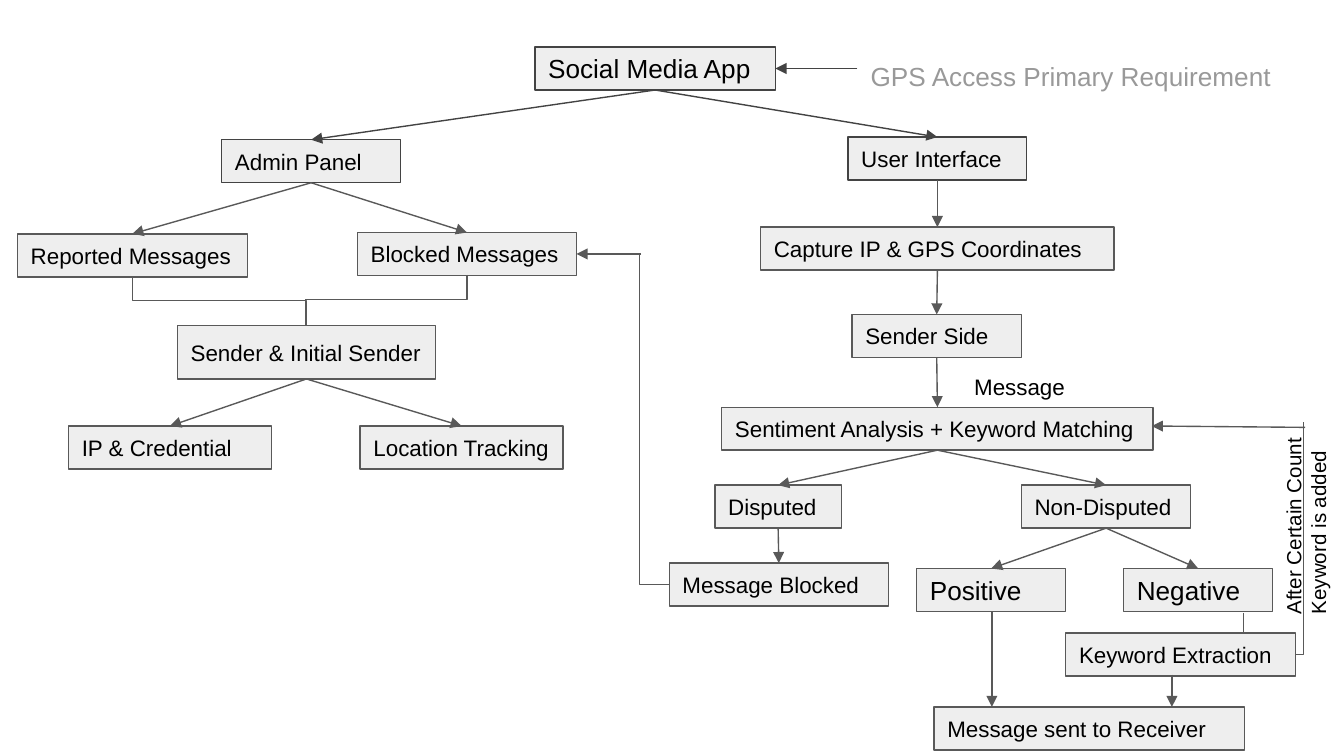
import pptx
import pptx.dml.color
import pptx.enum.shapes
import pptx.enum.text
import pptx.oxml
import pptx.oxml.ns
import pptx.util
from pptx.util import Inches

THEME = {
    "font": "Arial", "fill": "EEEEEE", "text": "000000", "muted": "999999",
    "dark": "434343", "line": "595959",
    "large": 14, "body": 12, "small": 11, "stroke": 0.75,
}
SLIDE_WIDTH = 10
SLIDE_HEIGHT = SLIDE_WIDTH * 9 / 16
BOX_HEIGHT = 0.32
INSET = 0.1

# Content: name -> left, top, width
STEPS = {
    "Social Media App": (3.98, 0.35, 1.79),
    "Admin Panel": (1.65, 1.04, 1.33),
    "User Interface": (6.31, 1.02, 1.33),
    "Reported Messages": (0.13, 1.74, 1.71),
    "Blocked Messages": (2.66, 1.73, 1.63),
    "Sender & Initial Sender": (1.32, 2.42, 1.92),
    "IP & Credential": (0.51, 3.17, 1.51),
    "Location Tracking": (2.68, 3.17, 1.51),
    "Capture IP & GPS Coordinates": (5.66, 1.69, 2.63),
    "Sender Side": (6.34, 2.34, 1.26),
    "Sentiment Analysis + Keyword Matching": (5.37, 3.03, 3.21),
    "Disputed": (5.32, 3.61, 0.94),
    "Non-Disputed": (7.6, 3.61, 1.26),
    "Message Blocked": (4.98, 4.19, 1.63),
    "Positive": (6.82, 4.23, 1.11),
    "Negative": (8.36, 4.23, 1.11),
    "Keyword Extraction": (7.93, 4.71, 1.71),
    "Message sent to Receiver": (6.95, 5.26, 2.31),
}
HEIGHTS = {"Sender & Initial Sender": 0.4}
LARGE_STEPS = {"Social Media App", "Positive", "Negative"}
DARK_STEPS = {"Social Media App", "Admin Panel", "User Interface"}

# Arrows from the bottom centre of a step to the top centre of the next
BRANCHES = {
    "Social Media App": ["Admin Panel", "User Interface"],
    "Admin Panel": ["Reported Messages", "Blocked Messages"],
    "Sender & Initial Sender": ["IP & Credential", "Location Tracking"],
    "User Interface": ["Capture IP & GPS Coordinates"],
    "Capture IP & GPS Coordinates": ["Sender Side"],
    "Sender Side": ["Sentiment Analysis + Keyword Matching"],
    "Sentiment Analysis + Keyword Matching": ["Disputed", "Non-Disputed"],
    "Disputed": ["Message Blocked"],
    "Non-Disputed": ["Positive", "Negative"],
}

# Other straight lines: start, end, colour, arrowhead
SIDE_LINES = [
    ((6.38, 0.51), (5.77, 0.51), "dark", True),
    ((4.77, 1.89), (4.29, 1.89), "line", True),
    ((9.71, 3.18), (8.57, 3.17), "line", True),
    ((7.38, 4.55), (7.38, 5.26), "line", True),
    ((8.72, 5.02), (8.72, 5.26), "line", True),
    ((9.25, 4.56), (9.25, 4.7), "line", False),
]

# Elbows before rotation: start, end, degrees, preset
ELBOWS = [
    ((4.76, 1.88), (4.98, 4.35), 180, "bentConnector2"),
    ((9.7, 3.14), (9.64, 4.87), 180, "bentConnector2"),
    ((1.81, 1.59), (1.45, 2.88), 270, "bentConnector3"),
    ((2.69, 1.63), (3.06, 2.83), 90, "bentConnector3"),
]

# Labels: lines, place, size, colour, rotation
LABELS = [
    (["GPS Access Primary Requirement"], (6.38, 0.35, 3.34, 0.32), "large", "muted", 0),
    (["Message"], (7.15, 2.68, 1.22, 0.35), "body", "text", 0),
    (["After Certain Count", "Keyword is added"], (8.82, 3.71, 1.57, 0.35), "small", "text", 270),
]


def rgb(role):
    return pptx.dml.color.RGBColor.from_string(THEME[role])


def write(shape, lines, size="body", color="text", middle=False):
    frame = shape.text_frame
    frame.word_wrap = True
    frame.margin_left = frame.margin_top = frame.margin_bottom = Inches(INSET)
    frame.margin_right = Inches(INSET / 2)
    anchors = pptx.enum.text.MSO_ANCHOR
    frame.vertical_anchor = anchors.MIDDLE if middle else anchors.TOP
    for index, line in enumerate(lines):
        paragraph = frame.add_paragraph() if index else frame.paragraphs[0]
        paragraph.alignment = pptx.enum.text.PP_ALIGN.LEFT
        run = paragraph.add_run()
        run.text = line
        run.font.name = THEME["font"]
        run.font.size = pptx.util.Pt(THEME[size])
        run.font.color.rgb = rgb(color)


def outline(shape, color):
    shape.line.color.rgb = rgb(color)
    shape.line.width = pptx.util.Pt(THEME["stroke"])


def connect(slide, start, end, color="line", arrow=False, degrees=0, preset="line"):
    connector = slide.shapes.add_connector(
        pptx.enum.shapes.MSO_CONNECTOR.STRAIGHT, *map(Inches, (*start, *end)))
    outline(connector, color)
    properties = connector._element.spPr
    properties.find(pptx.oxml.ns.qn("a:prstGeom")).set("prst", preset)
    if degrees:
        properties.find(pptx.oxml.ns.qn("a:xfrm")).set("rot", str(degrees * 60000))
    if arrow:
        head = pptx.oxml.parse_xml(
            f'<a:tailEnd {pptx.oxml.ns.nsdecls("a")} type="triangle" w="med" len="med"/>')
        connector.line._get_or_add_ln().append(head)
    properties.append(pptx.oxml.parse_xml(f'<a:effectLst {pptx.oxml.ns.nsdecls("a")}/>'))


def top_centre(name):
    left, top, width = STEPS[name]
    return left + width / 2, top


def bottom_centre(name):
    x, top = top_centre(name)
    return x, top + HEIGHTS.get(name, BOX_HEIGHT)


def tone(name):
    return "dark" if name in DARK_STEPS else "line"


def main():
    deck = pptx.Presentation()
    deck.slide_width, deck.slide_height = Inches(SLIDE_WIDTH), Inches(SLIDE_HEIGHT)
    slide = deck.slides.add_slide(deck.slide_layouts[6])

    # Step boxes
    for name, (left, top, width) in STEPS.items():
        step = slide.shapes.add_shape(
            pptx.enum.shapes.MSO_SHAPE.RECTANGLE,
            *map(Inches, (left, top, width, HEIGHTS.get(name, BOX_HEIGHT))))
        step.shadow.inherit = False
        step.fill.solid()
        step.fill.fore_color.rgb = rgb("fill")
        outline(step, tone(name))
        write(step, [name], size="large" if name in LARGE_STEPS else "body", middle=True)

    # Flow lines
    for parent, children in BRANCHES.items():
        for child in children:
            connect(slide, bottom_centre(parent), top_centre(child), tone(child), arrow=True)
    for start, end, color, arrow in SIDE_LINES:
        connect(slide, start, end, color, arrow)
    for start, end, degrees, preset in ELBOWS:
        connect(slide, start, end, degrees=degrees, preset=preset)

    # Free labels
    for lines, place, size, color, degrees in LABELS:
        label = slide.shapes.add_textbox(*map(Inches, place))
        label.rotation = degrees
        write(label, lines, size=size, color=color)

    deck.save("out.pptx")


if __name__ == "__main__":
    main()
